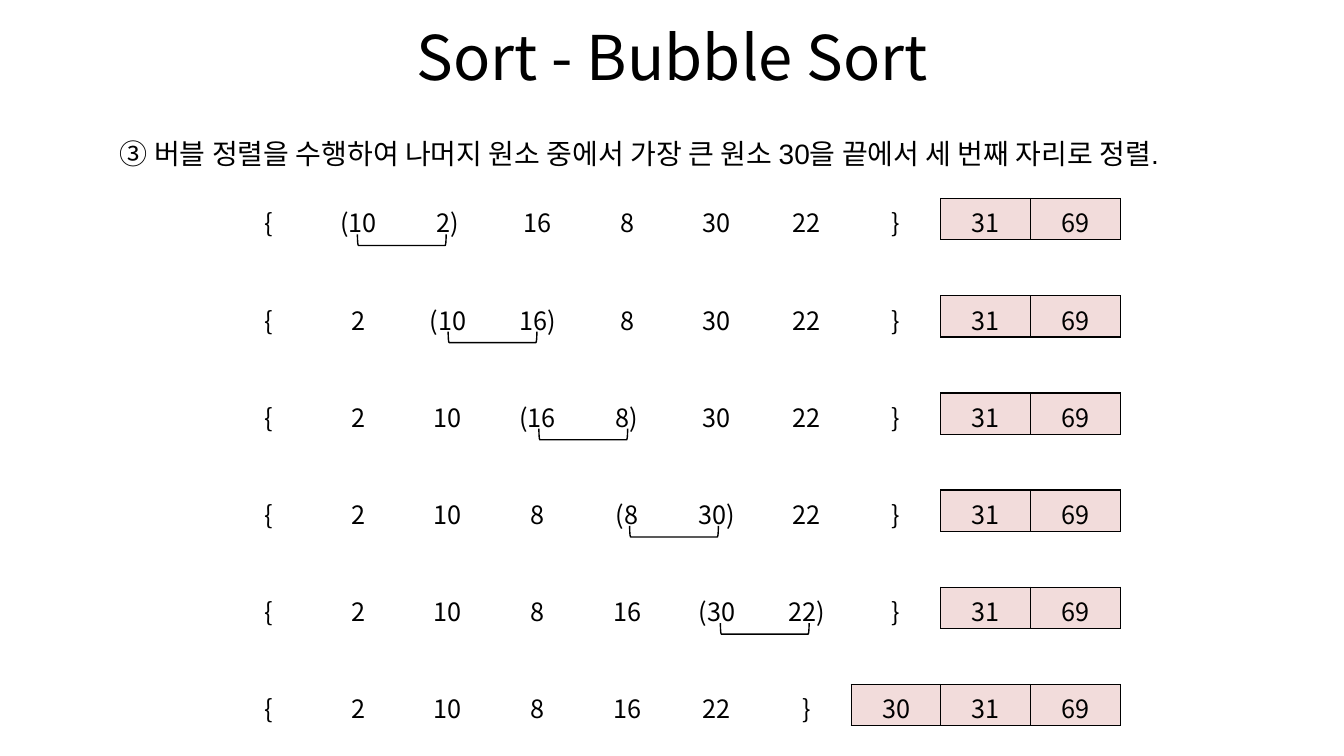
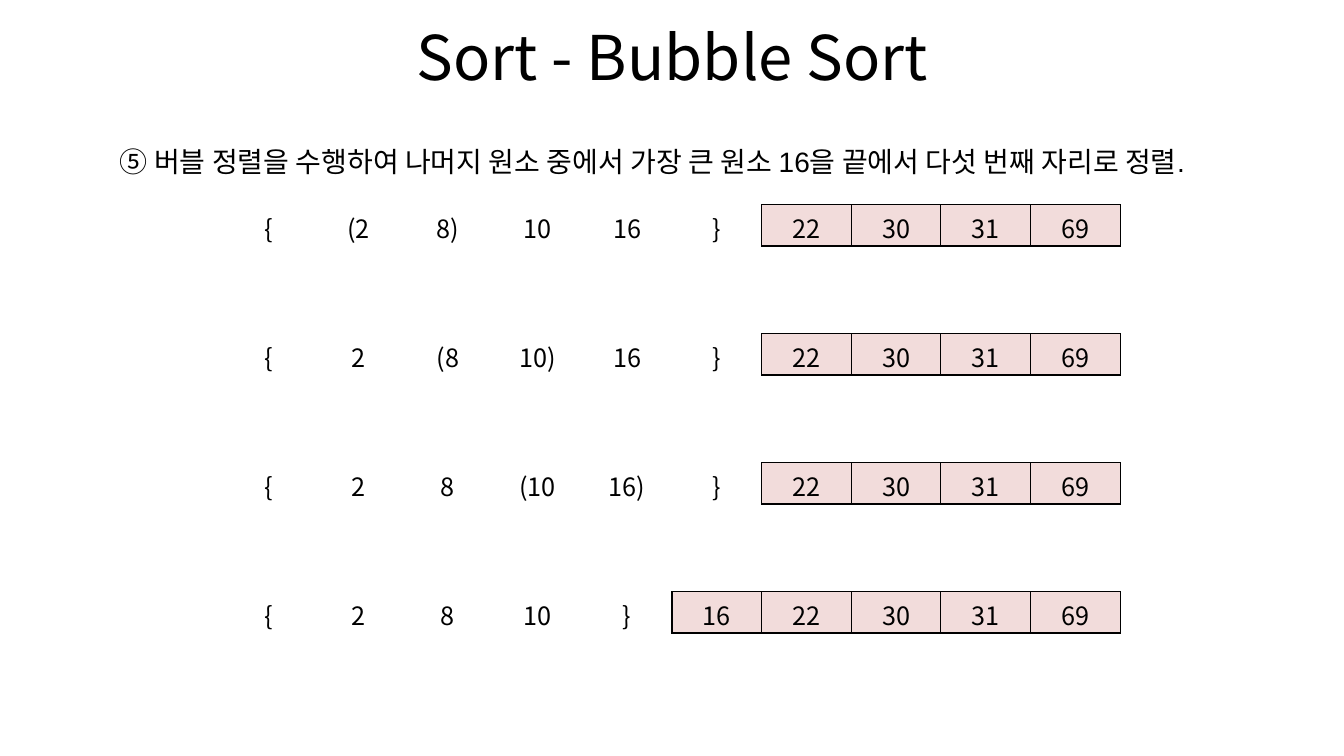
from lxml import etree
from pptx import Presentation
from pptx.dml.color import RGBColor
from pptx.enum.shapes import MSO_SHAPE as SHAPE
from pptx.enum.text import MSO_ANCHOR as ANCHOR, MSO_AUTO_SIZE as AUTO_SIZE, PP_ALIGN as ALIGN
from pptx.oxml import parse_xml
from pptx.oxml.ns import nsdecls
from pptx.util import Inches, Pt

BLACK = RGBColor(0x00, 0x00, 0x00)
WHITE = RGBColor(0xFF, 0xFF, 0xFF)
SORTED_PINK = RGBColor(0xF2, 0xDC, 0xDB)
HEAD_FONT, STEP_FONT = "Noto Sans CJK KR", "Arial"

# Shared grid, in inches
ROW_LEFT, ROW_WIDTH, ROW_HEIGHT = 2.22, 8.89, 0.41
BRACKET_WIDTH, BRACKET_DEPTH = 0.88, 0.11
BRACKET_PITCH = 0.9

# Each pass: step text and its box, first and last row tops, rows, brackets
PASSES = [
    {
        "step": "③ 버블 정렬을 수행하여 나머지 원소 중에서 가장 큰 원소 30을 끝에서 세 번째 자리로 정렬.",
        "step_box": (0.4, 1.31, 12.5, 0.44),
        "tops": (1.97, 6.79),
        "rows": [
            "{ (10 2) 16 8 30 22 } 31 69",
            "{ 2 (10 16) 8 30 22 } 31 69",
            "{ 2 10 (16 8) 30 22 } 31 69",
            "{ 2 10 8 (8 30) 22 } 31 69",
            "{ 2 10 8 16 (30 22) } 31 69",
            "{ 2 10 8 16 22 } 30 31 69",
        ],
        "brackets": True,
    },
    {
        "step": "⑤ 버블 정렬을 수행하여 나머지 원소 중에서 가장 큰 원소 16을 끝에서 다섯 번째 자리로 정렬.",
        "step_box": (0.4, 1.38, 12.67, 0.44),
        "tops": (2.03, 5.87),
        "rows": [
            "{ (2 8) 10 16 } 22 30 31 69",
            "{ 2 (8 10) 16 } 22 30 31 69",
            "{ 2 8 (10 16) } 22 30 31 69",
            "{ 2 8 10 } 16 22 30 31 69",
        ],
        "brackets": False,
    },
]


def style(paragraph, font_name, size):
    paragraph.font.name = font_name
    paragraph.font.size = Pt(size)
    paragraph.font.color.rgb = BLACK


def add_title(slide):
    title = slide.shapes.title
    title.left, title.top, title.width, title.height = map(Inches, (0.67, 0.13, 12, 0.85))
    title.text_frame.vertical_anchor = ANCHOR.MIDDLE
    heading = title.text_frame.paragraphs[0]
    heading.text = "Sort - Bubble Sort"
    heading.alignment = ALIGN.CENTER
    style(heading, HEAD_FONT, 44)


def add_step(slide, text, box):
    frame = slide.shapes.add_textbox(*map(Inches, box)).text_frame
    frame.word_wrap = True
    frame.auto_size = AUTO_SIZE.SHAPE_TO_FIT_TEXT
    step = frame.paragraphs[0]
    step.text = text
    step.level = 1
    # Hanging indent for the circled number
    indents = step._p.get_or_add_pPr()
    indents.set("marL", str(Inches(0.99)))
    indents.set("indent", str(Inches(-0.3)))
    style(step, STEP_FONT, 20)


def add_borders(cell, sides):
    properties = cell._tc.get_or_add_tcPr()
    for side in sides:
        border = parse_xml(f'<a:ln{side} {nsdecls("a")} w="{Pt(1)}"/>')
        fill = etree.SubElement(border, border.tag.replace(f"ln{side}", "solidFill"))
        etree.SubElement(fill, border.tag.replace(f"ln{side}", "srgbClr"), val=str(BLACK))
        properties.append(border)


def add_row(slide, values, top):
    table = slide.shapes.add_table(
        1, len(values), *map(Inches, (ROW_LEFT, top, ROW_WIDTH, ROW_HEIGHT))).table
    table.first_row = table.horz_banding = False
    closing = values.index("}")
    for column, value in enumerate(values):
        cell = table.cell(0, column)
        is_sorted = column > closing
        if is_sorted:
            add_borders(cell, "LRTB")
        elif column == closing:
            add_borders(cell, "R")
        cell.fill.solid()
        cell.fill.fore_color.rgb = SORTED_PINK if is_sorted else WHITE
        cell.vertical_anchor = ANCHOR.MIDDLE
        entry = cell.text_frame.paragraphs[0]
        entry.text = value
        entry.alignment = ALIGN.CENTER
        style(entry, HEAD_FONT, 18)


def add_bracket(slide, first_column, row_top):
    """Underline the compared pair that starts in first_column."""
    left = ROW_LEFT + 1.71 + (first_column - 1) * BRACKET_PITCH
    bracket = slide.shapes.add_shape(
        SHAPE.LEFT_BRACKET,
        *map(Inches, (left, row_top - 0.03, BRACKET_DEPTH, BRACKET_WIDTH)))
    bracket.rotation = 270
    bracket.shadow.inherit = False
    bracket.fill.background()
    bracket.line.color.rgb = BLACK
    bracket.line.width = Pt(1)


def add_rows(slide, rows, tops, brackets):
    first, last = tops
    pitch = (last - first) / (len(rows) - 1)
    for index, row in enumerate(rows):
        values = row.split()
        top = first + index * pitch
        add_row(slide, values, top)
        if brackets and "(" in row:
            pair = next(i for i, value in enumerate(values) if value.startswith("("))
            add_bracket(slide, pair, top)


def main():
    deck = Presentation()
    deck.slide_width, deck.slide_height = Inches(13.33), Inches(7.5)
    title_only = deck.slide_layouts[5]
    for sort_pass in PASSES:
        slide = deck.slides.add_slide(title_only)
        add_title(slide)
        add_step(slide, sort_pass["step"], sort_pass["step_box"])
        add_rows(slide, sort_pass["rows"], sort_pass["tops"], sort_pass["brackets"])
    deck.save("out.pptx")


if __name__ == "__main__":
    main()
